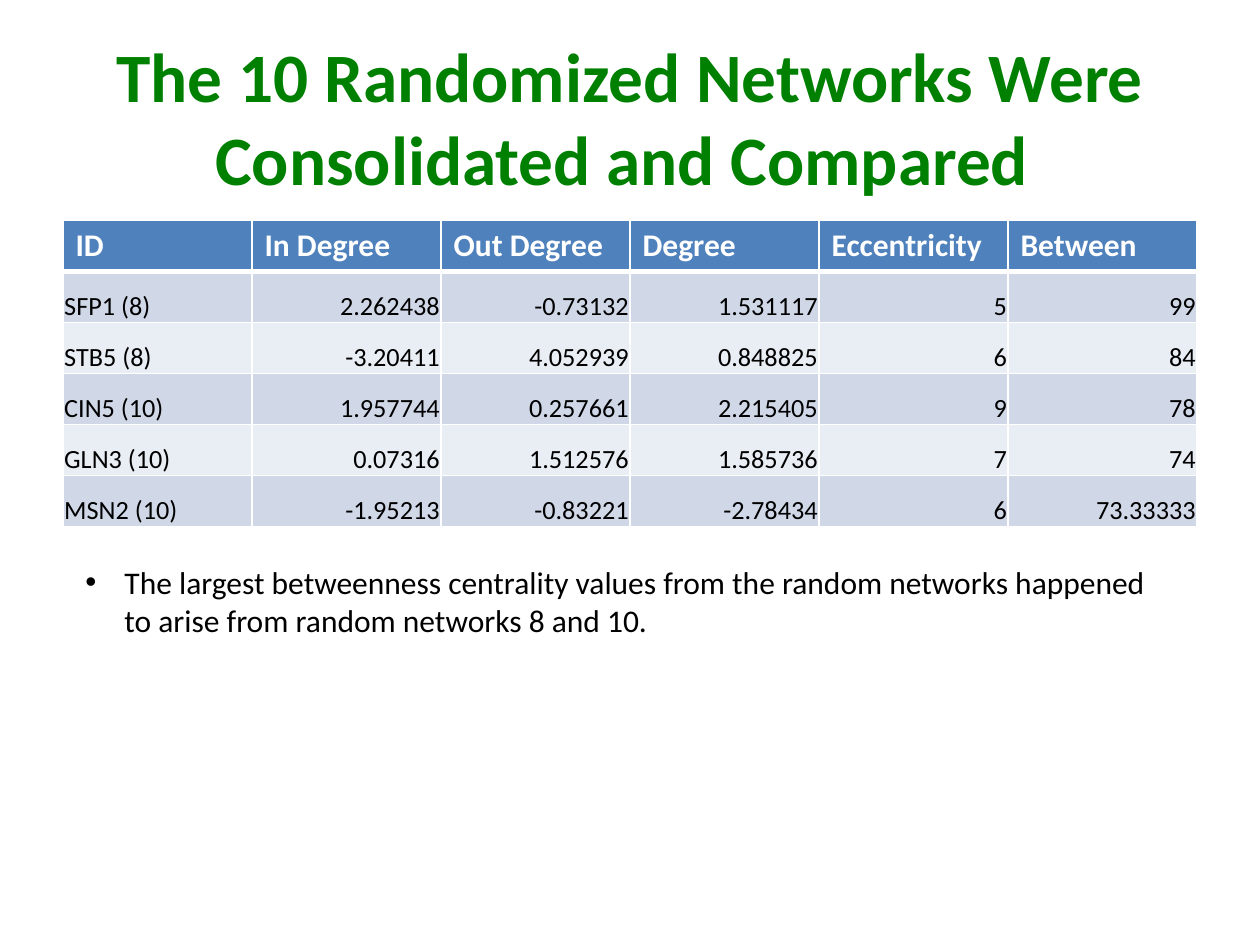
from dataclasses import dataclass

from lxml import etree
from pptx import Presentation
from pptx.dml.color import RGBColor
from pptx.enum.text import MSO_ANCHOR, PP_ALIGN
from pptx.oxml.ns import qn
from pptx.util import Inches, Pt

LEFT, CENTER, RIGHT = PP_ALIGN.LEFT, PP_ALIGN.CENTER, PP_ALIGN.RIGHT
TOP, MIDDLE, BOTTOM = MSO_ANCHOR.TOP, MSO_ANCHOR.MIDDLE, MSO_ANCHOR.BOTTOM

TITLE = "The 10 Randomized Networks Were Consolidated and Compared "
NOTE = (
    "The largest betweenness centrality values from the random networks "
    "happened to arise from random networks 8 and 10."
)
CENTRALITY = [
    ["ID", "In Degree", "Out Degree", "Degree", "Eccentricity", "Between"],
    ["SFP1 (8)", "2.262438", "-0.73132", "1.531117", "5", "99"],
    ["STB5 (8)", "-3.20411", "4.052939", "0.848825", "6", "84"],
    ["CIN5 (10)", "1.957744", "0.257661", "2.215405", "9", "78"],
    ["GLN3 (10)", "0.07316", "1.512576", "1.585736", "7", "74"],
    ["MSN2 (10)", "-1.95213", "-0.83221", "-2.78434", "6", "73.33333"],
]


@dataclass(frozen=True)
class Theme:
    font: str = "Calibri"
    green: str = "008000"
    black: str = "000000"
    white: str = "FFFFFF"
    header: str = "4F81BD"
    bands: tuple = ("D0D8E8", "E9EDF4")
    title_size: float = 39.6
    text_size: float = 18
    value_size: float = 15
    thin_rule: float = 1
    thick_rule: float = 3


def apply_format(target, values):
    for name, value in values.items():
        setattr(target, name, value)


class SlideBuilder:
    """Hold the theme and the current page, and draw each kind of element."""

    def __init__(self, page, theme):
        self.page = page
        self.theme = theme

    def add_text(self, para, text, size, color, bold=False, align=LEFT):
        para.alignment = align
        span = para.add_run()
        span.text = text
        apply_format(
            span.font, {"name": self.theme.font, "size": Pt(size), "bold": bold}
        )
        span.font.color.rgb = RGBColor.from_string(color)

    def text_box(self, place, anchor=TOP):
        box = self.page.shapes.add_textbox(*map(Inches, place))
        apply_format(box.text_frame, {"word_wrap": True, "vertical_anchor": anchor})
        return box.text_frame.paragraphs[0]

    def title(self, text, place):
        para = self.text_box(place, MIDDLE)
        self.add_text(para, text, self.theme.title_size, self.theme.green, True, CENTER)

    def bullet(self, text, place, indent):
        para = self.text_box(place)
        self.add_text(para, text, self.theme.text_size, self.theme.black)
        properties = para._p.get_or_add_pPr()
        properties.set("marL", str(Inches(indent)))
        properties.set("indent", str(-Inches(indent)))
        etree.SubElement(properties, qn("a:buFont"), typeface="Arial")
        etree.SubElement(properties, qn("a:buChar"), char="•")

    def borders(self, cell, top, bottom):
        thin = self.theme.thin_rule
        sides = {"lnL": thin, "lnR": thin, "lnT": top, "lnB": bottom}
        for side, width in sides.items():
            line = etree.SubElement(
                cell._tc.get_or_add_tcPr(), qn(f"a:{side}"), w=str(Pt(width))
            )
            fill = etree.SubElement(line, qn("a:solidFill"))
            etree.SubElement(fill, qn("a:srgbClr"), val=self.theme.white)

    def header_cell(self, cell, text):
        theme = self.theme
        self.borders(cell, theme.thin_rule, theme.thick_rule)
        self.fill(cell, theme.header)
        para = cell.text_frame.paragraphs[0]
        self.add_text(para, text, theme.text_size, theme.white, True)

    def body_cell(self, cell, text, row, align):
        theme = self.theme
        top = theme.thick_rule if row == 1 else theme.thin_rule
        self.borders(cell, top, theme.thin_rule)
        self.fill(cell, theme.bands[(row - 1) % 2])
        inset = Inches(0.01)
        apply_format(cell, {
            "vertical_anchor": BOTTOM, "margin_left": inset, "margin_right": inset,
            "margin_top": inset, "margin_bottom": 0,
        })
        para = cell.text_frame.paragraphs[0]
        self.add_text(para, text, theme.value_size, theme.black, align=align)

    def fill(self, cell, color):
        cell.fill.solid()
        cell.fill.fore_color.rgb = RGBColor.from_string(color)

    def table(self, rows, place):
        frame = self.page.shapes.add_table(
            len(rows), len(rows[0]), *map(Inches, place)
        )
        for row, values in enumerate(rows):
            for column, text in enumerate(values):
                cell = frame.table.cell(row, column)
                if row == 0:
                    self.header_cell(cell, text)
                else:
                    self.body_cell(cell, text, row, RIGHT if column else LEFT)


def main():
    deck = Presentation()
    apply_format(deck, {"slide_width": Inches(10), "slide_height": Inches(7.5)})
    page = deck.slides.add_slide(deck.slide_layouts[6])
    builder = SlideBuilder(page, Theme())
    builder.title(TITLE, (0.5, 0.3, 9, 1.25))
    builder.table(CENTRALITY, (0.5, 1.75, 9, 2.43))
    builder.bullet(NOTE, (0.58, 4.42, 8.83, 1.31), 0.31)
    deck.save("out.pptx")


if __name__ == "__main__":
    main()
